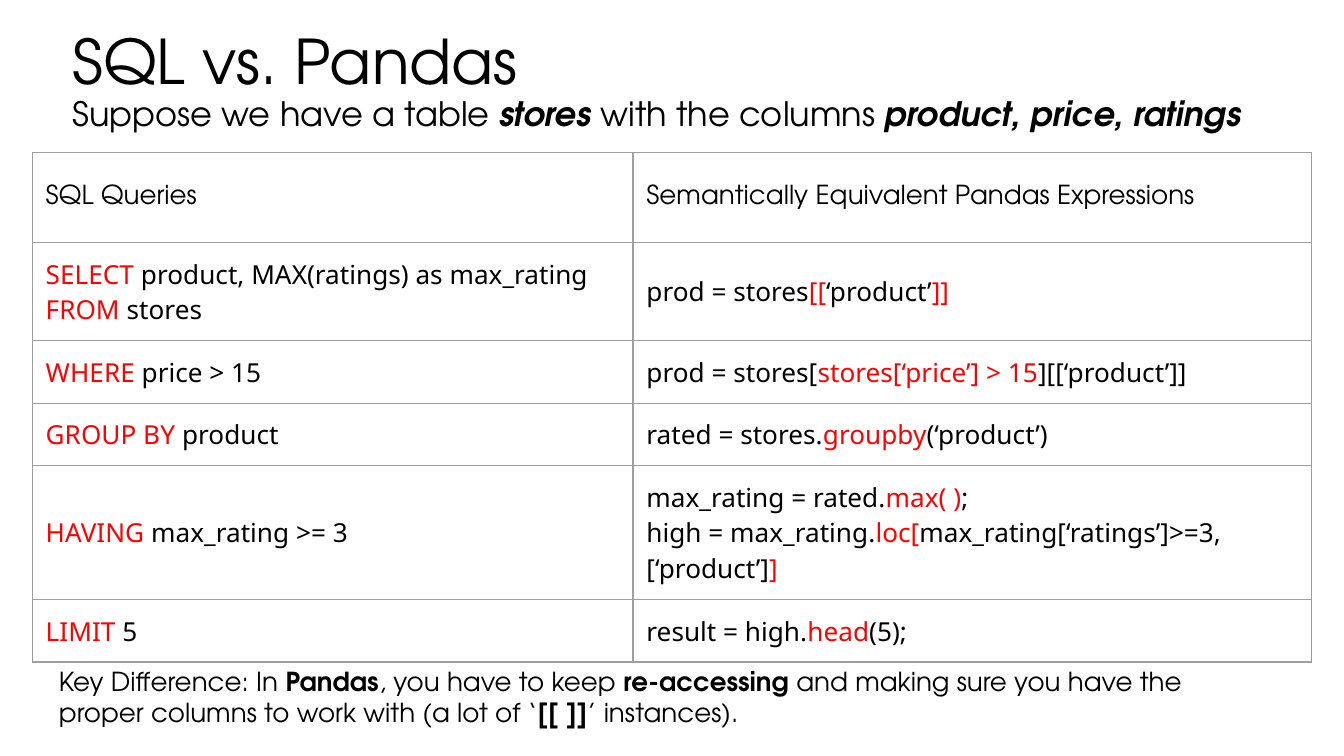
from dataclasses import dataclass

import lxml.etree
import pptx
import pptx.dml.color
import pptx.enum.text
import pptx.oxml.ns
import pptx.util

Inches = pptx.util.Inches
MIDDLE = pptx.enum.text.MSO_ANCHOR.MIDDLE


@dataclass(frozen=True)
class Theme:
    heading_font: str = "TeX Gyre Adventor"
    code_font: str = "Noto Sans"
    ink: str = "000000"
    accent: str = "FF0000"
    border: str = "9E9E9E"
    border_width: float = 0.75
    title_size: int = 33
    subtitle_size: int = 18
    body_size: int = 14


THEME = Theme()


@dataclass(frozen=True)
class Span:
    text: str
    accent: bool = False
    bold: bool = False
    italic: bool = False


@dataclass(frozen=True)
class Comparison:
    sql: list[list[Span]]
    pandas: list[list[Span]]
    height: float = 0.44
    font: str = THEME.code_font


def key(text: str) -> Span:
    return Span(text, accent=True)


def strong(text: str, italic: bool = False) -> Span:
    return Span(text, bold=True, italic=italic)


TITLE = [Span("SQL vs. Pandas")]
SUBTITLE = [
    Span("Suppose we have a table "),
    strong("stores", italic=True),
    Span(" with the columns "),
    strong("product, price, ratings", italic=True),
]
COMPARISONS = [
    Comparison(
        [[Span("SQL Queries")]],
        [[Span("Semantically Equivalent Pandas Expressions")]],
        height=0.67,
        font=THEME.heading_font,
    ),
    Comparison(
        [[key("SELECT"), Span(" product, MAX(ratings) as max_rating "),
          key("FROM"), Span(" stores")]],
        [[Span("prod = stores"), key("[["), Span("‘product’"), key("]]")]],
        height=0.65,
    ),
    Comparison(
        [[key("WHERE"), Span(" price > 15")]],
        [[Span("prod = stores["), key("stores[‘price’] > 15"),
          Span("][[‘product’]]")]],
    ),
    Comparison(
        [[key("GROUP BY"), Span(" product")]],
        [[Span("rated = stores."), key("groupby"), Span("(‘product’)")]],
    ),
    Comparison(
        [[key("HAVING"), Span(" max_rating >= 3")]],
        [
            [Span("max_rating = rated."), key("max( )"), Span(";")],
            [Span("high = max_rating."), key("loc["),
             Span("max_rating[‘ratings’]>=3, [‘product’]"), key("]")],
        ],
    ),
    Comparison(
        [[key("LIMIT"), Span(" 5")]],
        [[Span("result = high."), key("head"), Span("(5);")]],
    ),
]
KEY_DIFFERENCE = [
    Span("Key Difference: In "),
    strong("Pandas"),
    Span(", you have to keep "),
    strong("re-accessing"),
    Span(" and making sure you have the proper columns to work with (a lot of ‘"),
    strong("[[ ]]"),
    Span("’ instances)."),
]


def write_para(para, spans: list[Span], font: str, size: int) -> None:
    para.alignment = pptx.enum.text.PP_ALIGN.LEFT
    for span in spans:
        run = para.add_run()
        run.text = span.text
        run.font.name = font
        run.font.size = pptx.util.Pt(size)
        run.font.bold = span.bold
        run.font.italic = span.italic
        color = THEME.accent if span.accent else THEME.ink
        run.font.color.rgb = pptx.dml.color.RGBColor.from_string(color)


def set_margins(target, side: float, end: float) -> None:
    target.margin_left = target.margin_right = Inches(side)
    target.margin_top = target.margin_bottom = Inches(end)


def place_title(page) -> None:
    box = page.shapes.title
    box.left, box.top = Inches(0.47), Inches(0.07)
    box.width, box.height = Inches(9.07), Inches(1.09)
    frame = box.text_frame
    frame.word_wrap = True
    frame.auto_size = pptx.enum.text.MSO_AUTO_SIZE.NONE
    frame.vertical_anchor = MIDDLE
    set_margins(frame, 0.07, 0.04)
    lines = [(TITLE, THEME.title_size), (SUBTITLE, THEME.subtitle_size)]
    for index, (spans, size) in enumerate(lines):
        para = frame.add_paragraph() if index else frame.paragraphs[0]
        para.line_spacing = 0.9
        para.space_before = pptx.util.Pt(0)
        write_para(para, spans, THEME.heading_font, size)


def draw_borders(cell) -> None:
    properties = cell._tc.get_or_add_tcPr()
    qualified = pptx.oxml.ns.qn
    for index, side in enumerate(("lnL", "lnR", "lnT", "lnB")):
        line = lxml.etree.Element(qualified(f"a:{side}"))
        line.set("w", str(pptx.util.Pt(THEME.border_width)))
        fill = lxml.etree.SubElement(line, qualified("a:solidFill"))
        lxml.etree.SubElement(fill, qualified("a:srgbClr")).set("val", THEME.border)
        properties.insert(index, line)


def fill_cell(cell, paragraphs: list[list[Span]], font: str) -> None:
    cell.fill.background()
    cell.vertical_anchor = MIDDLE
    set_margins(cell, 0.1, 0.1)
    for index, spans in enumerate(paragraphs):
        frame = cell.text_frame
        para = frame.add_paragraph() if index else frame.paragraphs[0]
        write_para(para, spans, font, THEME.body_size)
    draw_borders(cell)


def add_comparison_table(page) -> None:
    widths = (4.47, 5.05)
    height = sum(row.height for row in COMPARISONS)
    table = page.shapes.add_table(
        len(COMPARISONS), len(widths),
        Inches(0.24), Inches(1.135), Inches(sum(widths)), Inches(height),
    ).table
    table.first_row = table.horz_banding = False
    for column, width in zip(table.columns, widths):
        column.width = Inches(width)
    for index, comparison in enumerate(COMPARISONS):
        table.rows[index].height = Inches(comparison.height)
        for column, content in enumerate((comparison.sql, comparison.pandas)):
            fill_cell(table.cell(index, column), content, comparison.font)


def add_key_difference(page) -> None:
    box = page.shapes.add_textbox(
        Inches(0.34), Inches(4.85), Inches(8.92), Inches(0.54)
    )
    box.text_frame.word_wrap = True
    set_margins(box.text_frame, 0.1, 0.1)
    write_para(
        box.text_frame.paragraphs[0], KEY_DIFFERENCE,
        THEME.heading_font, THEME.body_size,
    )


def main() -> None:
    deck = pptx.Presentation()
    deck.slide_width = Inches(10)
    deck.slide_height = deck.slide_width * 9 // 16
    page = deck.slides.add_slide(deck.slide_layouts.get_by_name("Title Only"))
    place_title(page)
    add_comparison_table(page)
    add_key_difference(page)
    deck.save("out.pptx")


if __name__ == "__main__":
    main()
